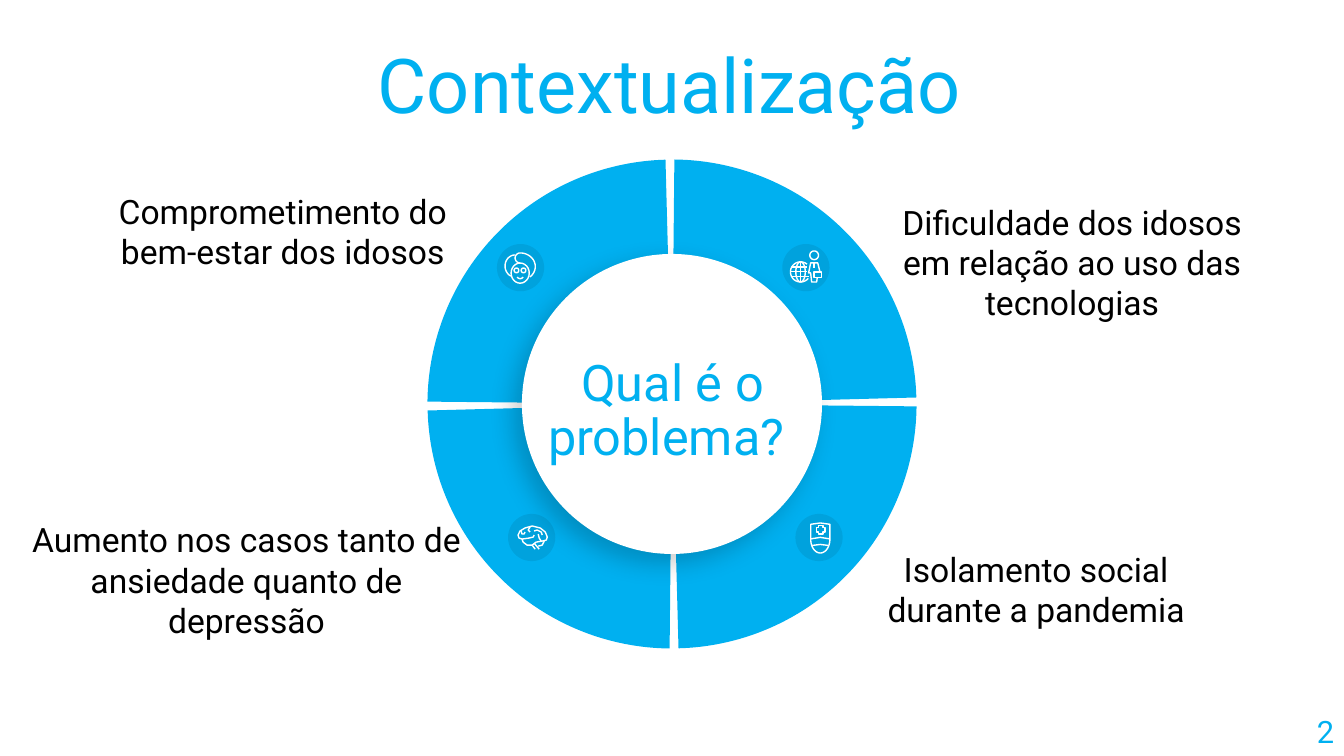
from math import cos, radians, sin

from lxml.etree import SubElement
from pptx import Presentation
from pptx.dml.color import RGBColor
from pptx.enum.shapes import MSO_SHAPE
from pptx.enum.text import MSO_ANCHOR, MSO_AUTO_SIZE, PP_ALIGN
from pptx.oxml.ns import qn
from pptx.util import Cm, Pt

BLUE = RGBColor(0x00, 0xB0, 0xF0)
BLACK = RGBColor(0x00, 0x00, 0x00)
WHITE = RGBColor(0xFF, 0xFF, 0xFF)
FONT = "Roboto"


def arc(cx, cy, rx, ry, start=0, end=360):
    """Points along an ellipse, angles clockwise from the right."""
    steps = 24
    angles = [radians(start + (end - start) * i / steps) for i in range(steps + 1)]
    return [(cx + rx * cos(a), cy + ry * sin(a)) for a in angles]


# Content: boxes are left, top, width, height in cm
HEADING = ("Contextualização", (2.26, 0.41, 29.21, 3.68))
QUESTION = ("Qual é o problema? ", (12.78, 7.29, 8.33, 6.2))
PAGE_NUMBER = ("2", (26.24, 18.03, 7.62, 1.02))
PROBLEMS = [
    ("Isolamento social durante a pandemia", (21.89, 13.54, 8.43, 2.44)),
    ("Dificuldade dos idosos em relação ao uso das tecnologias",
     (22.45, 4.57, 9.12, 3.68)),
    ("Aumento nos casos tanto de ansiedade quanto de depressão",
     (0.28, 12.65, 11.86, 3.61)),
    ("Comprometimento do bem-estar dos idosos", (2.44, 4.52, 9.37, 2.44)),
]

# Ring and badges, in cm
RING_CENTER = (16.93, 10.18)
RING_SIZE, HUB_SIZE, BADGE_SIZE = 12.32, 7.56, 1.19
QUARTER_ANGLES = (161.74, 214.49)
QUARTER_TURNS = [91, 181, 271, 1]
BADGES = [(12.52, 6.15), (12.8, 12.95), (20.04, 12.95), (19.71, 6.15)]

# Icon strokes, in units of ICON_UNIT cm from the icon's left top corner
ICON_UNIT = 0.0254
FACE = [
    arc(16, 21, 9, 10),
    arc(12.3, 18.3, 2.3, 2.3),
    arc(19.3, 18.3, 2.3, 2.3),
    arc(16, 24, 3, 2.5, 20, 160),
    arc(11, 14, 10, 11, 115, 270),
    arc(16, 6, 5, 5, 90, 270),
    arc(16, 14.5, 15, 13.5, 270, 410),
]
BRAIN = [
    [(6, 14), (3, 13), (2, 10), (4, 6), (9, 3), (16, 1), (24, 3), (29, 7),
     (31, 12), (30, 15), (26, 16), (20, 17), (16, 20), (11, 20), (7, 17), (6, 14)],
    [(6, 14), (13, 13), (17, 12), (18, 10)],
    [(5, 6), (6, 9), (8, 9), (9, 7)],
    [(14, 2), (12, 5), (14, 7)],
    [(18, 6), (21, 5), (25, 7), (26, 10)],
    [(22, 9), (23, 13), (25, 16)],
    [(28, 16), (26, 20), (22, 21)],
    [(16, 20), (19, 24)],
    [(18, 18), (23, 24)],
]
SHIELD = [
    [(1, 2), (10.5, 0.7), (20, 2)] + arc(10.5, 17, 9.5, 13.5, 0, 180) + [(1, 2)],
    [(1, 16.5), (10.5, 15), (20, 16.5)],
    [(2.5, 23), (10.5, 22), (18.5, 23)],
    [(9, 3.5), (13, 3.5), (13, 5.5), (15, 5.5), (15, 9.5), (13, 9.5), (13, 11.5),
     (9, 11.5), (9, 9.5), (7, 9.5), (7, 5.5), (9, 5.5), (9, 3.5)],
]
GLOBE_AND_WORKER = [
    arc(11, 21, 10, 10, 40, 310),
    arc(11, 21, 4.7, 10),
    [(11, 11), (11, 31)],
    [(2.5, 16), (17, 16)],
    [(1, 20.5), (17, 20.5)],
    [(2.5, 25.5), (19, 25.5)],
    arc(24.5, 4.5, 4.3, 4.3),
    [(30, 20), (28, 12), (21, 12), (19, 22), (21, 22), (22, 31), (27, 31), (27.5, 27)],
    [(24.5, 12), (24.5, 17)],
    [(24.5, 21), (31.5, 21), (31.5, 26.5), (24.5, 26.5), (24.5, 21)],
]
ICONS = [
    (FACE, (12.7, 6.35)),
    (BRAIN, (13, 13.23)),
    (SHIELD, (20.4, 13.16)),
    (GLOBE_AND_WORKER, (19.89, 6.32)),
]

prs = Presentation()
prs.slide_width, prs.slide_height = Cm(33.86), Cm(19.05)
slide = prs.slides.add_slide(prs.slide_layouts[5])
shapes = slide.shapes


def add_round(kind, left, top, size, color):
    shape = shapes.add_shape(kind, Cm(left), Cm(top), Cm(size), Cm(size))
    shape.shadow.inherit = False
    shape.fill.solid()
    shape.fill.fore_color.rgb = color
    shape.line.fill.background()
    return shape


def add_centered(kind, size, color):
    left, top = (c - size / 2 for c in RING_CENTER)
    return add_round(kind, left, top, size, color)


def write(holder, text, box, size, color, align=PP_ALIGN.CENTER,
          anchor=MSO_ANCHOR.MIDDLE, spacing=None):
    holder.left, holder.top, holder.width, holder.height = map(Cm, box)
    frame = holder.text_frame
    frame.word_wrap = True
    frame.auto_size = MSO_AUTO_SIZE.NONE
    frame.vertical_anchor = anchor
    frame.text = text
    paragraph = frame.paragraphs[0]
    paragraph.alignment = align
    paragraph.line_spacing = spacing
    paragraph.font.name = FONT
    paragraph.font.size = Pt(size)
    paragraph.font.color.rgb = color


def add_text(text, box, *style, **options):
    write(shapes.add_textbox(0, 0, 0, 0), text, box, *style, **options)


def add_icon(strokes, left, top):
    contours = [[(Cm(left + x * ICON_UNIT), Cm(top + y * ICON_UNIT))
                 for x, y in stroke] for stroke in strokes]
    builder = shapes.build_freeform(*contours[0][0])
    for i, (start, *rest) in enumerate(contours):
        if i:
            builder.move_to(*start)
        builder.add_line_segments(rest, close=False)
    icon = builder.convert_to_shape()
    icon.shadow.inherit = False
    icon.fill.background()
    icon.line.color.rgb = WHITE
    icon.line.width = Pt(1)


# Ring of four quarters
for turn in QUARTER_TURNS:
    quarter = add_centered(MSO_SHAPE.PIE, RING_SIZE, BLUE)
    quarter.adjustments[0], quarter.adjustments[1] = QUARTER_ANGLES
    quarter.rotation = turn

# White hub with a soft shadow to the lower left
hub = add_centered(MSO_SHAPE.OVAL, HUB_SIZE, WHITE)
effects = hub._element.spPr.find(qn("a:effectLst"))
shadow = SubElement(effects, qn("a:outerShdw"), blurRad=str(Pt(18)), dist=str(Pt(9)),
                    dir=str(135 * 60000), algn="tr", rotWithShape="0")
shade = SubElement(shadow, qn("a:srgbClr"), val="000000")
SubElement(shade, qn("a:alpha"), val="20000")

# Problems around the ring
for problem, box in PROBLEMS:
    add_text(problem, box, 24, BLACK, anchor=MSO_ANCHOR.BOTTOM)

# Badges and their icons
for left, top in BADGES:
    badge = add_round(MSO_SHAPE.OVAL, left, top, BADGE_SIZE, BLACK)
    tint = badge._element.spPr.find(qn("a:solidFill")).find(qn("a:srgbClr"))
    SubElement(tint, qn("a:alpha"), val="8000")
for strokes, (left, top) in ICONS:
    add_icon(strokes, left, top)

# Question in the hub, heading and page number
question = shapes.title
shapes._spTree.append(question._element)
write(question, *QUESTION, 36, BLUE, spacing=0.9)
add_text(*HEADING, 54, BLUE, spacing=0.9)
add_text(*PAGE_NUMBER, 22, BLUE, align=PP_ALIGN.RIGHT, spacing=0.7)

prs.save("out.pptx")
